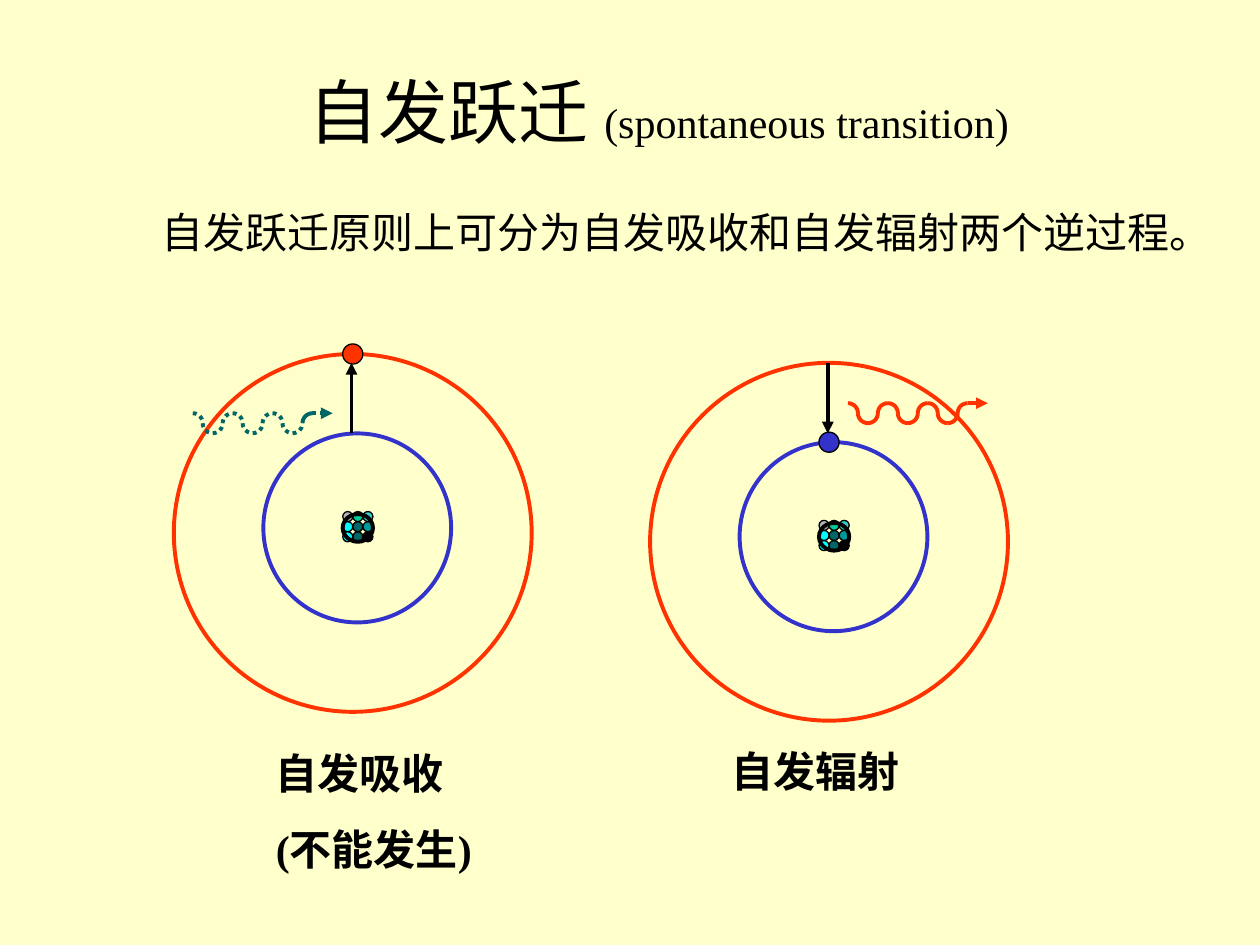
from math import cos, pi, sin

from lxml import etree
from pptx import Presentation
from pptx.dml.color import RGBColor
from pptx.enum.dml import MSO_LINE
from pptx.enum.shapes import MSO_CONNECTOR, MSO_SHAPE
from pptx.enum.text import MSO_ANCHOR, MSO_AUTO_SIZE, PP_ALIGN
from pptx.oxml.ns import qn
from pptx.util import Inches, Pt

OVAL = MSO_SHAPE.OVAL
LINE = MSO_CONNECTOR.STRAIGHT
DOT = MSO_LINE.ROUND_DOT
CENTER = PP_ALIGN.CENTER
MIDDLE = MSO_ANCHOR.MIDDLE
GROW = MSO_AUTO_SIZE.SHAPE_TO_FIT_TEXT

HUES = {
    "paper": "FFFFCC", "black": "000000", "red": "FF3300", "blue": "3333CC",
    "teal": "006666", "gray": "B2B2B2", "green": "00CC99", "cyan": "00FFFF",
    "sea": "009999", "aqua": "33CCCC",
}
CORE = [
    (0, 0, "gray"), (1, 0, "green"), (0, 1, "cyan"), (1, 1, "teal"), (1, 2, "teal"),
    (2, 1, "sea"), (2, 2, "black"), (0, 2, "cyan"), (2, 0, "aqua"),
]
FONT = {"name": "Times New Roman", "size": Pt(24), "bold": False}


def rgb(hue):
    return RGBColor.from_string(HUES[hue])


def set_all(item, form):
    for key, value in form.items():
        setattr(item, key, value)


def style(line, hue, width=2.25, dash=None):
    line.color.rgb = rgb(hue)
    set_all(line, {"width": Pt(width), "dash_style": dash})


def add_oval(shapes, x, y, w, h, fill=None, edge="black", width=0.75):
    oval = shapes.add_shape(OVAL, Inches(x), Inches(y), Inches(w), Inches(h))
    oval.shadow.inherit = False
    if fill:
        oval.fill.solid()
        oval.fill.fore_color.rgb = rgb(fill)
    else:
        oval.fill.background()
    style(oval.line, edge, width)


def add_arrow(shapes, start, end, hue, dash=None):
    arrow = shapes.add_connector(LINE, *map(Inches, start + end))
    style(arrow.line, hue, dash=dash)
    props = arrow.line._get_or_add_ln()
    etree.SubElement(props, qn("a:tailEnd"), type="triangle")
    etree.SubElement(arrow._element.spPr, qn("a:effectLst"))


def add_text(shapes, box, paras, para_form=None, frame_form=None, bold=False):
    frame = shapes.add_textbox(*map(Inches, box)).text_frame
    set_all(frame, {"word_wrap": True, **(frame_form or {})})
    for i, runs in enumerate(paras):
        para = frame.paragraphs[0] if i == 0 else frame.add_paragraph()
        set_all(para, para_form or {})
        if i:
            para.space_before = Pt(15)
        for text, size in runs:
            run = para.add_run()
            run.text = text
            set_all(run.font, {**FONT, "size": Pt(size), "bold": bold})
            run.font.color.rgb = rgb("black")
    return frame


def add_head(shapes, x, y):
    add_text(shapes, (x, y, 7.24, 0.88),
             [[("自发跃迁 ", 40), ("(spontaneous transition)", 24)]],
             {"alignment": CENTER}, {"vertical_anchor": MIDDLE})
    body = add_text(shapes, (x - 0.43, y + 1.11, 8.82, 1.02),
                    [[("自发跃迁原则上可分为自发吸收和自发辐射两个逆过程。", 24)]],
                    {"line_spacing": 1.1})
    props = body.paragraphs[0]._p.get_or_add_pPr()
    props.set("marL", str(Inches(0.38)))
    props.set("indent", str(-Inches(0.38)))


def add_core(shapes, x, y):
    group = shapes.add_group_shape().shapes
    for col, row, hue in CORE:
        add_oval(group, x + col * 0.08, y + row * 0.08, 0.08, 0.08, hue)
    add_oval(group, x, y + 0.02, 0.24, 0.22, width=2.25)


def add_wave(shapes, x, y, hue, dash=None):
    count, steps = 12, 8
    size = 0.95 / count
    mid = y + size
    for i in range(count):
        left = x + i * size
        side = -1 if i % 4 in (0, 3) else 1
        points = []
        for k in range(steps + 1):
            turn = k * pi / 2 / steps
            if i % 2:
                dot = (left + size * (1 - cos(turn)), mid + side * size * sin(turn))
            else:
                dot = (left + size * sin(turn), mid + side * size * cos(turn))
            points.append(tuple(map(Inches, dot)))
        maker = shapes.build_freeform(*points[0])
        maker.add_line_segments(points[1:], close=False)
        arc = maker.convert_to_shape()
        arc.shadow.inherit = False
        arc.fill.background()
        style(arc.line, hue, dash=None if i == count - 1 else dash)
    end = x + count * size
    add_arrow(shapes, (end, y), (end + 0.16, y), hue, dash)


def add_atom(shapes, x, y, dot, jump, wave, label):
    add_core(shapes, x + 1.34, y + 1.25)
    add_oval(shapes, x + 0.71, y + 0.63, 1.49, 1.5, edge="blue", width=2.25)
    add_oval(shapes, x, y, 2.84, 2.84, edge="red", width=2.25)
    top, hue = dot
    add_oval(shapes, x + 1.34, y + top, 0.16, 0.16, hue)
    start, end = jump
    add_arrow(shapes, (x + 1.41, y + start), (x + 1.41, y + end), "black")
    across, down, tint, dash = wave
    add_wave(shapes, x + across, y + down, tint, dash)
    (left, top, w, h), lines = label
    add_text(shapes, (x + left, y + top, w, h), [[(line, 24)] for line in lines],
             frame_form={"auto_size": GROW}, bold=True)


def main():
    deck = Presentation()
    set_all(deck, {"slide_width": Inches(10), "slide_height": Inches(7.5)})
    slide = deck.slides.add_slide(deck.slide_layouts[6])
    slide.background.fill.solid()
    slide.background.fill.fore_color.rgb = rgb("paper")
    shapes = slide.shapes
    add_head(shapes, 1.61, 0.44)
    add_atom(shapes, 1.38, 2.81, (-0.08, "red"), (0.63, 0.07),
             (0.15, 0.47, "teal", DOT),
             ((0.71, 3.07, 1.89, 1.51), ["自发吸收", "(不能发生)"]))
    add_atom(shapes, 5.16, 2.88, (0.55, "blue"), (0, 0.56),
             (1.57, 0.32, "red", None),
             ((0.55, 2.99, 1.65, 0.5), ["自发辐射"]))
    deck.save("out.pptx")


if __name__ == "__main__":
    main()
